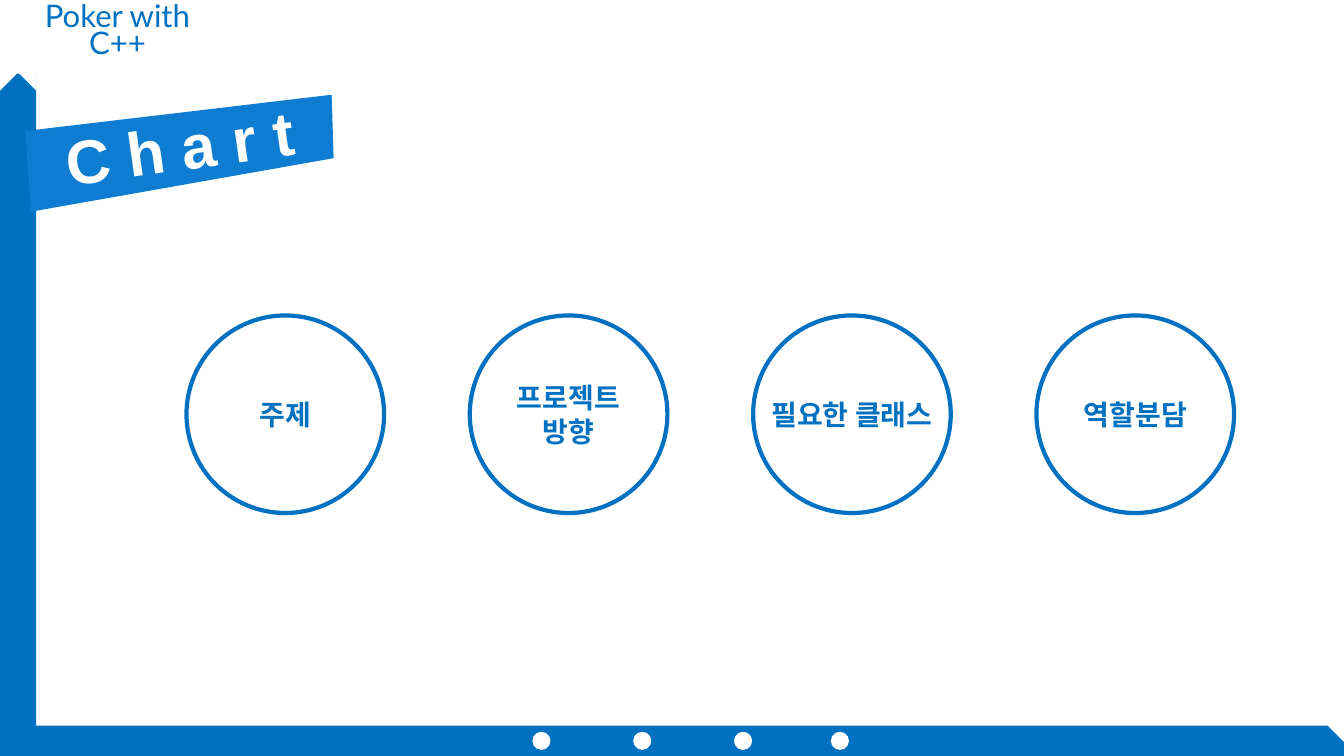
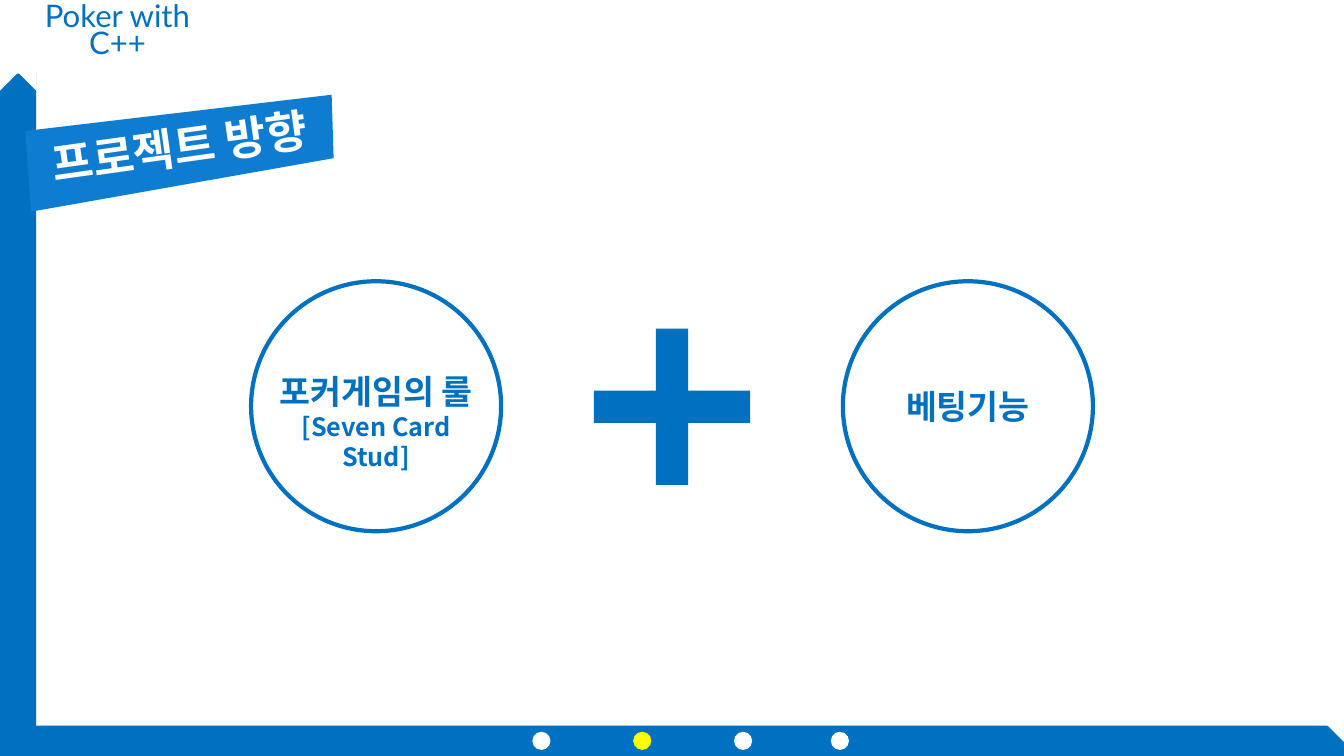
"""Build two slides of a card game project talk: the chart of topics and the project direction."""
from lxml.etree import SubElement
from pptx import Presentation
from pptx.dml.color import RGBColor
from pptx.enum.shapes import MSO_SHAPE as SHAPE
from pptx.enum.text import MSO_ANCHOR as ANCHOR, PP_ALIGN as ALIGN
from pptx.oxml.ns import qn
from pptx.util import Inches, Pt

COLORS = {"blue": "0070C0", "ribbon": "0E7DD1", "white": "FFFFFF", "yellow": "FFFF00"}
KOREAN = "Noto Sans CJK KR"
DOT_LEFTS = (5.28, 6.28, 7.28, 8.24)
RIBBON_CORNERS = ((0.25, 1.3), (3.29, 0.94), (3.31, 1.57), (0.31, 2.1))


def draw(slide, preset, left, top, width, height, fill=None, outline=None):
    shape = slide.shapes.add_shape(preset, Inches(left), Inches(top), Inches(width), Inches(height))
    shape.shadow.inherit = False
    if fill:
        shape.fill.solid()
        shape.fill.fore_color.rgb = RGBColor.from_string(COLORS[fill])
    else:
        shape.fill.background()
    if outline:
        shape.line.color.rgb = RGBColor.from_string(COLORS[outline])
        shape.line.width = Pt(3)
    else:
        shape.line.fill.background()
    return shape


def write(holder, lines, font, color="blue", bold=True, wrap=True, anchor=ANCHOR.MIDDLE):
    frame = holder.text_frame
    frame.word_wrap = wrap
    frame.vertical_anchor = anchor
    frame.text = "\n".join(text for text, size in lines)
    for paragraph, (text, size) in zip(frame.paragraphs, lines):
        paragraph.alignment = ALIGN.CENTER
        paragraph.font.size = Pt(size)
        paragraph.font.bold = bold
        paragraph.font.color.rgb = RGBColor.from_string(COLORS[color])
        paragraph.font.name = font
        defaults = paragraph._p.pPr.find(qn("a:defRPr"))
        SubElement(defaults, qn("a:ea"), typeface=KOREAN)


prs = Presentation()
prs.slide_width = Inches(13.33)
prs.slide_height = Inches(7.5)

slides = []
for title, title_size, active_dot in (("C h a r t", 44, None), ("프로젝트 방향", 32, 1)):
    slide = prs.slides.add_slide(prs.slide_layouts[6])
    slides.append(slide)

    project = slide.shapes.add_textbox(Inches(0.12), Inches(0.13), Inches(2.09), Inches(0.4))
    write(project, [("Poker with C++", 22.2)], "Lato", bold=False)
    project.text_frame.paragraphs[0].line_spacing = 0.7

    draw(slide, SHAPE.RECTANGLE, 0, 0.73, 0.36, 6.77, "blue")
    draw(slide, SHAPE.RECTANGLE, 0, 7.2, 13.33, 0.3, "blue")
    for left, top, rotation in ((0, 0.72, 90), (0.18, 0.72, 180), (13.16, 7.19, 180)):
        corner = draw(slide, SHAPE.RIGHT_TRIANGLE, left, top, 0.18, 0.18, "white")
        corner.rotation = rotation

    for index, left in enumerate(DOT_LEFTS):
        draw(slide, SHAPE.OVAL, left, 7.26, 0.18, 0.18, "yellow" if index == active_dot else "white")

    corners = [(Inches(x), Inches(y)) for x, y in RIBBON_CORNERS]
    outline = slide.shapes.build_freeform(*corners[0])
    outline.add_line_segments(corners[1:], close=True)
    ribbon = outline.convert_to_shape()
    ribbon.shadow.inherit = False
    ribbon.fill.solid()
    ribbon.fill.fore_color.rgb = RGBColor.from_string(COLORS["ribbon"])
    ribbon.line.fill.background()

    heading = slide.shapes.add_textbox(Inches(0.28), Inches(1.1), Inches(3), Inches(0.7))
    heading.rotation = -8
    write(heading, [(title, title_size)], "Arial", "white")

chart, direction = slides

topics = (("주제", True), ("프로젝트 방향", True), ("필요한 클래스", False), ("역할분담", True))
for index, (topic, wrap) in enumerate(topics):
    circle = draw(chart, SHAPE.OVAL, 1.85 + index * 2.81, 3.13, 1.96, 1.96, outline="blue")
    write(circle, [(topic, 20)], "Arial", wrap=wrap)

draw(direction, SHAPE.OVAL, 2.49, 2.79, 2.48, 2.48, outline="blue")
rules = direction.shapes.add_textbox(Inches(2.63), Inches(3.63), Inches(2.2), Inches(1.1))
write(rules, [("포커게임의 룰", 24), ("[Seven Card Stud]", 18)], KOREAN, anchor=ANCHOR.TOP)

plus = draw(direction, SHAPE.MATH_PLUS, 5.61, 2.98, 2.11, 2.11, "blue")
plus.adjustments[0] = 0.152

betting = draw(direction, SHAPE.OVAL, 8.36, 2.79, 2.48, 2.48, outline="blue")
write(betting, [("베팅기능", 24)], KOREAN)

prs.save("out.pptx")
